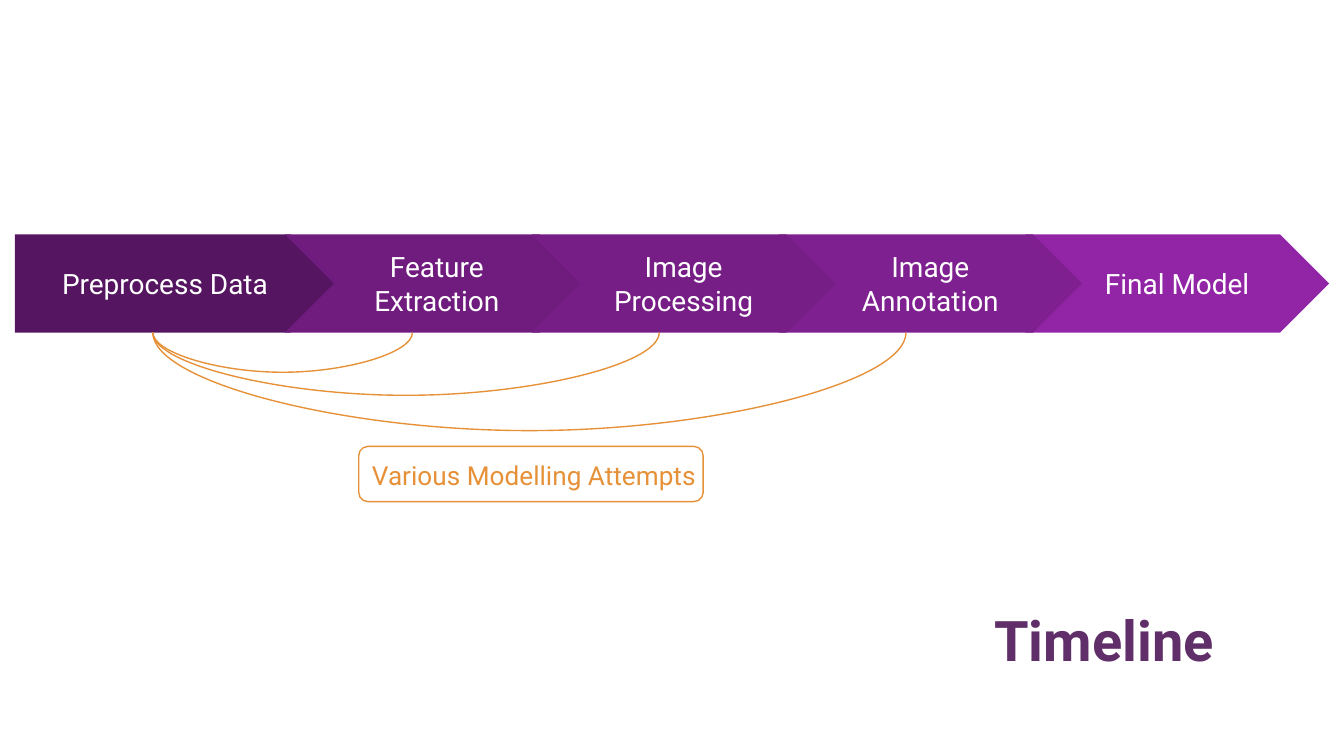
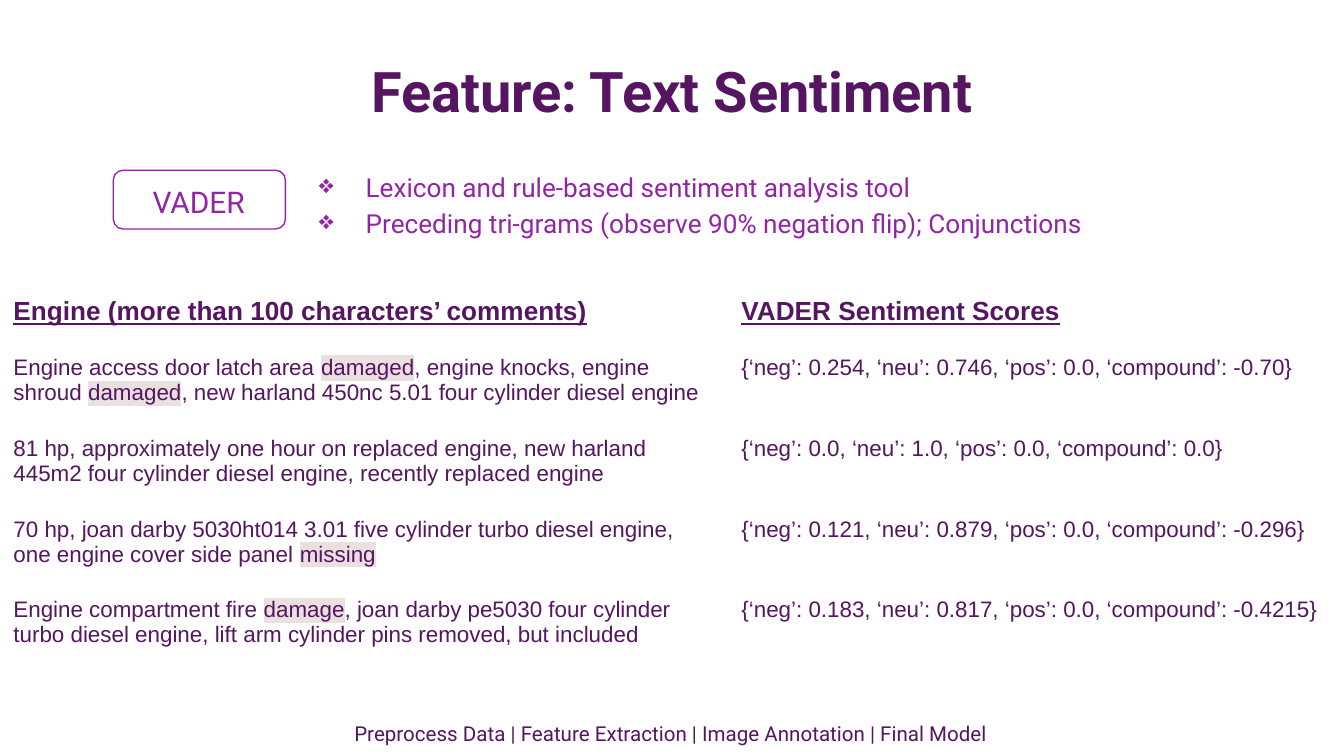
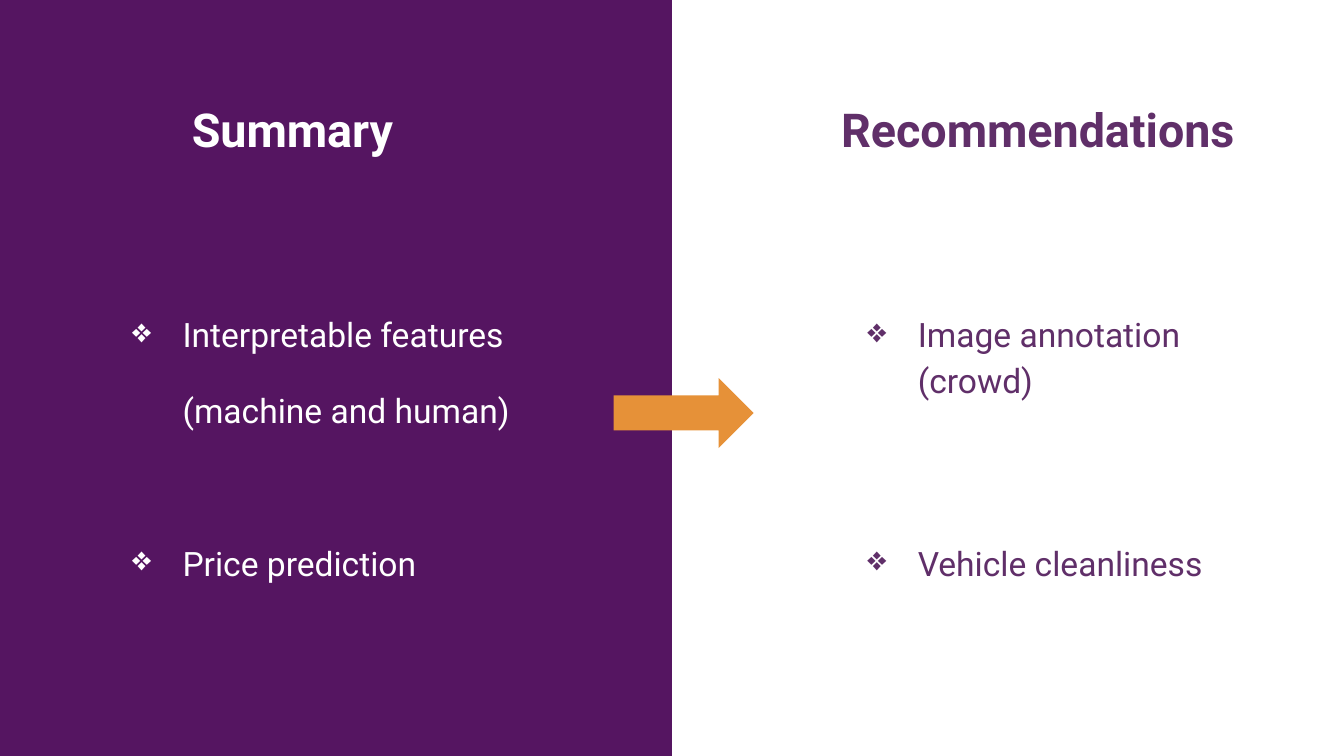
import lxml.etree
import pptx
import pptx.dml.color
import pptx.enum.shapes
import pptx.enum.text
import pptx.oxml.ns
import pptx.util

Pt = pptx.util.Pt
qn = pptx.oxml.ns.qn
PRESET = pptx.enum.shapes.MSO_SHAPE
ALIGN = pptx.enum.text.PP_ALIGN

COLORS = {
    "deep": "551561",
    "plum": "602F69",
    "violet": "9225A5",
    "feature": "701C7F",
    "processing": "761E86",
    "annotation": "7F2090",
    "accent": "E69138",
    "mark": "EBE0E0",
    "white": "FFFFFF",
}
HEADING_FONT = "Roboto"
TABLE_FONT = "Arial"
INSET = 7.2
BULLET_MARGIN = 36

STAGES = [
    (1, "Feature Extraction", "feature"),
    (4, "Final Model", "violet"),
    (3, "Image Annotation", "annotation"),
    (2, "Image Processing", "processing"),
]
CURVE_DROPS = [18.75, 29.67, 46.34]

SENTIMENT_ROWS = [
    ("Engine (more than 100 characters’ comments)", "VADER Sentiment Scores"),
    ("Engine access door latch area *damaged*, engine knocks, engine shroud *damaged*, "
     "new harland 450nc 5.01 four cylinder diesel engine",
     "{‘neg’: 0.254, ‘neu’: 0.746, ‘pos’: 0.0, ‘compound’: -0.70}"),
    ("81 hp, approximately one hour on replaced engine, new harland 445m2 four cylinder "
     "diesel engine, recently replaced engine",
     "{‘neg’: 0.0, ‘neu’: 1.0, ‘pos’: 0.0, ‘compound’: 0.0}"),
    ("70 hp, joan darby 5030ht014 3.01 five cylinder turbo diesel engine, one engine "
     "cover side panel *missing*",
     "{‘neg’: 0.121, ‘neu’: 0.879, ‘pos’: 0.0, ‘compound’: -0.296}"),
    ("Engine compartment fire *damage*, joan darby pe5030 four cylinder turbo diesel "
     "engine, lift arm cylinder pins removed, but included",
     "{‘neg’: 0.183, ‘neu’: 0.817, ‘pos’: 0.0, ‘compound’: -0.4215}"),
]


def rgb(name):
    """Return the named colour."""
    return pptx.dml.color.RGBColor.from_string(COLORS[name])


def style_font(paragraph, size, color, bold=False, face=HEADING_FONT):
    """Set the font of a whole paragraph."""
    font = paragraph.font
    font.name, font.size, font.bold = face, Pt(size), bold
    font.color.rgb = rgb(color)


def set_insets(frame):
    """Give a text frame or cell equal margins."""
    frame.margin_left = frame.margin_right = Pt(INSET)
    frame.margin_top = frame.margin_bottom = Pt(INSET)


def add_text(slide, box, text, size, color, bold=False, align=ALIGN.LEFT):
    """Add a wrapped one-paragraph text box and return its frame."""
    frame = slide.shapes.add_textbox(*map(Pt, box)).text_frame
    frame.word_wrap = True
    set_insets(frame)
    paragraph = frame.paragraphs[0]
    paragraph.text, paragraph.alignment = text, align
    style_font(paragraph, size, color, bold)
    return frame


def add_title(slide, box, text, color, size=30, align=ALIGN.CENTER):
    """Add a bold heading."""
    add_text(slide, box, text, size, color, True, align)


def add_bullets(slide, box, items, size, color, hanging):
    """Add a text box of diamond bullets and return its frame."""
    frame = slide.shapes.add_textbox(*map(Pt, box)).text_frame
    frame.word_wrap = True
    set_insets(frame)
    for index, item in enumerate(items):
        paragraph = frame.add_paragraph() if index else frame.paragraphs[0]
        paragraph.text, paragraph.line_spacing = item, 1.15
        properties = paragraph._p.get_or_add_pPr()
        properties.set("marL", str(Pt(BULLET_MARGIN)))
        properties.set("indent", str(-Pt(hanging)))
        bullet_color = lxml.etree.SubElement(properties, qn("a:buClr"))
        lxml.etree.SubElement(bullet_color, qn("a:srgbClr"), val=COLORS[color])
        lxml.etree.SubElement(properties, qn("a:buChar"), char="❖")
        style_font(paragraph, size, color)
    return frame


def add_preset(slide, preset, box, fill=None, outline=None):
    """Add a flat preset shape with an optional fill and outline."""
    shape = slide.shapes.add_shape(preset, *map(Pt, box))
    shape.shadow.inherit = False
    if fill:
        shape.fill.solid()
        shape.fill.fore_color.rgb = rgb(fill)
    else:
        shape.fill.background()
    if outline:
        shape.line.color.rgb = rgb(outline)
        shape.line.width = Pt(0.75)
    else:
        shape.line.fill.background()
    return shape


def add_badge(slide, box, text, size, color, text_offset, text_width):
    """Add a label framed by a rounded outline."""
    left, top, width, height = box
    add_text(slide, (left + text_offset, top, text_width, height), text, size, color)
    add_preset(slide, PRESET.ROUNDED_RECTANGLE, box, outline=color)


def add_stage(slide, preset, box, text, fill):
    """Add one labelled step of the process band."""
    frame = add_preset(slide, preset, box, fill).text_frame
    frame.word_wrap = True
    frame.vertical_anchor = pptx.enum.text.MSO_ANCHOR.MIDDLE
    set_insets(frame)
    paragraph = frame.paragraphs[0]
    paragraph.text, paragraph.alignment = text, ALIGN.CENTER
    style_font(paragraph, 15, "white")


def add_return_curve(slide, start, end, level, drop):
    """Hang a curve below a level line between two horizontal positions."""
    thickness = 0.05
    center, half_span = (start + end) / 2, (end - start) / 2
    curve = slide.shapes.add_connector(
        pptx.enum.shapes.MSO_CONNECTOR.CURVE,
        Pt(center + thickness / 2), Pt(level - half_span),
        Pt(center - thickness / 2), Pt(level + half_span))
    curve.line.color.rgb = rgb("accent")
    curve.line.width = Pt(0.75)
    properties = curve._element.spPr
    properties.find(qn("a:xfrm")).set("rot", "16200000")
    geometry = properties.find(qn("a:prstGeom"))
    adjustments = geometry.find(qn("a:avLst"))
    if adjustments is None:
        adjustments = lxml.etree.SubElement(geometry, qn("a:avLst"))
    lxml.etree.SubElement(adjustments, qn("a:gd"), name="adj1",
                          fmla=f"val {round(drop / thickness * 100000)}")
    lxml.etree.SubElement(properties, qn("a:effectLst"))


def add_process_band(slide, box):
    """Draw the stages and the curves that link them to the first one."""
    left, top, width, height = box
    first_width, stage_width, step = 174, 162.7, 132.2
    first_chevron = left + width - stage_width - 3 * step
    add_stage(slide, PRESET.PENTAGON, (left, top, first_width, height),
              "Preprocess Data", "deep")
    for slot, text, fill in STAGES:
        stage_left = first_chevron + (slot - 1) * step
        add_stage(slide, PRESET.CHEVRON, (stage_left, top, stage_width, height), text, fill)
    start = left + (first_width - height / 2) / 2
    for slot, drop in enumerate(CURVE_DROPS):
        end = first_chevron + slot * step + (stage_width - height / 2) / 2
        add_return_curve(slide, start, end, top + height, drop)


def add_marked_text(paragraph, text):
    """Write text, highlighting the parts between asterisks."""
    for index, part in enumerate(text.split("*")):
        if not part:
            continue
        run = paragraph.add_run()
        run.text = part
        if index % 2:
            highlight = lxml.etree.SubElement(run._r.get_or_add_rPr(), qn("a:highlight"))
            lxml.etree.SubElement(highlight, qn("a:srgbClr"), val=COLORS["mark"])


def add_sentiment_table(slide, box, column_widths):
    """Add the table of comments and their scores."""
    row_count = len(SENTIMENT_ROWS)
    table = slide.shapes.add_table(row_count, len(column_widths), *map(Pt, box)).table
    table.first_row = table.horz_banding = False
    for column, width in zip(table.columns, column_widths):
        column.width = Pt(width)
    for row_index, row in enumerate(SENTIMENT_ROWS):
        header = row_index == 0
        for column_index, text in enumerate(row):
            cell = table.cell(row_index, column_index)
            cell.fill.background()
            set_insets(cell)
            paragraph = cell.text_frame.paragraphs[0]
            add_marked_text(paragraph, text)
            style_font(paragraph, 14 if header else 12, "deep", header, TABLE_FONT)
            paragraph.font.underline = header


def build_timeline(slide):
    """Build the timeline slide."""
    add_process_band(slide, (8, 125.6, 704, 52.6))
    add_title(slide, (463, 317, 257, 46), "Timeline", "plum")
    add_badge(slide, (192.2, 239.2, 184.5, 29.6), "Various Modelling Attempts", 14,
              "accent", 0, 192.2)


def build_sentiment(slide):
    """Build the text sentiment slide."""
    add_title(slide, (24.5, 23, 671, 49), "Feature: Text Sentiment", "deep")
    add_text(slide, (78.5, 379.5, 562, 25.5),
             "Preprocess Data | Feature Extraction | Image Annotation | Final Model",
             11, "deep", align=ALIGN.CENTER)
    add_sentiment_table(slide, (0, 152, 714, 150), (390, 324))
    add_badge(slide, (60.7, 91.2, 92.2, 31.5), "VADER", 16, "violet", 14, 78.5)
    add_bullets(slide, (152.8, 82, 435.6, 49),
                ["Lexicon and rule-based sentiment analysis tool",
                 "Preceding tri-grams (observe 90% negation flip); Conjunctions"],
                14, "violet", 25)


def add_conclusions(slide, box, title, title_box, first, second, color):
    """Add a heading and two bullets; return the frame of the first bullet."""
    left, top, width, height = box
    title_left, title_width = title_box
    add_title(slide, (left + title_left, top, title_width, 37.5), title, color, 25,
              ALIGN.LEFT)
    frame = add_bullets(slide, (left, top + 111, width, height), [first], 18, color, 27)
    add_bullets(slide, (left, top + 233.5, width, 53), [second], 18, color, 27)
    return frame


def build_conclusion(slide):
    """Build the summary and recommendations slide."""
    add_preset(slide, PRESET.RECTANGLE, (0, 0, 360, 405), "deep")
    features = add_conclusions(slide, (54.7, 46.8, 250, 80), "Summary", (41, 155.5),
                               "Interpretable features", "Price prediction", "white")
    detail = features.add_paragraph()
    detail.text, detail.line_spacing = "(machine and human)", 1.15
    detail.space_before = detail.space_after = Pt(16)
    detail._p.get_or_add_pPr().set("marL", str(Pt(BULLET_MARGIN)))
    style_font(detail, 18, "white")
    add_conclusions(slide, (448.6, 46.8, 222, 91.5), "Recommendations", (-5, 236),
                    "Image annotation (crowd)", "Vehicle cleanliness", "plum")
    add_preset(slide, PRESET.RIGHT_ARROW, (328.8, 202.5, 75, 37.5), "accent")


def main():
    """Build and save the presentation."""
    deck = pptx.Presentation()
    deck.slide_width, deck.slide_height = Pt(720), Pt(405)
    for build in (build_timeline, build_sentiment, build_conclusion):
        build(deck.slides.add_slide(deck.slide_layouts[6]))
    deck.save("out.pptx")


if __name__ == "__main__":
    main()
